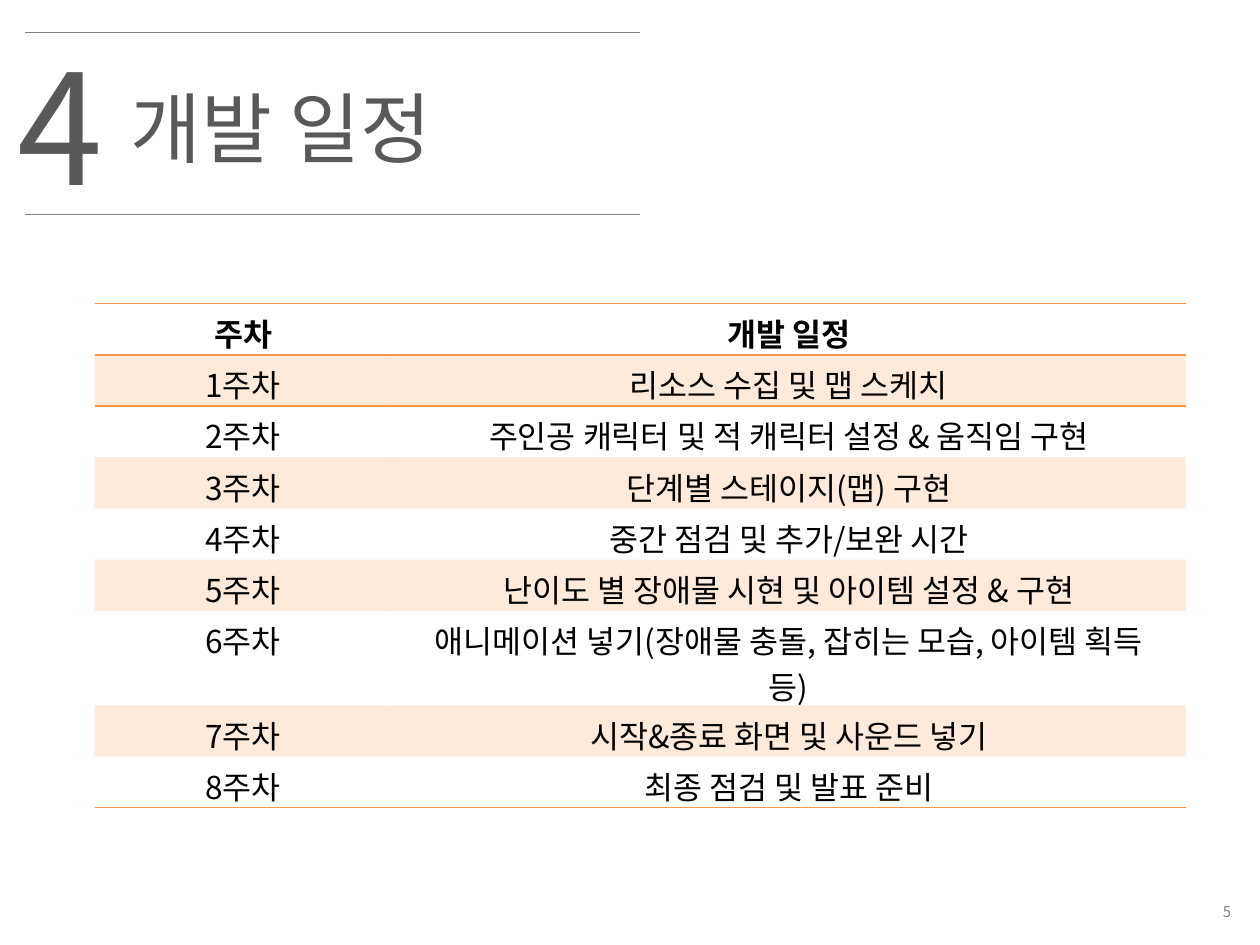
import pptx
import pptx.util
import pptx.dml.color
import pptx.enum.text
import pptx.enum.shapes
from dataclasses import dataclass
from lxml import etree

Inches, Pt = pptx.util.Inches, pptx.util.Pt
ALIGN, ANCHOR = pptx.enum.text.PP_ALIGN, pptx.enum.text.MSO_ANCHOR
A = "{http://schemas.openxmlformats.org/drawingml/2006/main}"
PLAIN_TABLE = "{2D5ABB26-0587-4C30-8999-92F81FD0307C}"


@dataclass(frozen=True)
class Theme:
    font: str = "Noto Sans CJK KR"
    title: str = "595959"
    muted: str = "808080"
    text: str = "000000"
    accent: str = "F79646"
    band_alpha: int = 20
    number_size: float = 88
    title_size: float = 44
    table_size: float = 18
    page_size: float = 8.5


def rgb(value):
    return pptx.dml.color.RGBColor.from_string(value)


class SlideBuilder:
    def __init__(self, slide, theme):
        self.slide, self.theme = slide, theme

    def style(self, p, size, color, align=ALIGN.LEFT, bold=False):
        p.alignment = align
        p.font.size, p.font.bold = Pt(size), bold
        p.font.color.rgb = rgb(color)
        p.font.name = self.theme.font
        # East Asian glyphs take their own typeface setting
        for r in p.runs:
            etree.SubElement(r.font._element, A + "ea", typeface=self.theme.font)

    def text(self, box, text, size, color, align=ALIGN.LEFT, anchor=ANCHOR.TOP):
        tf = self.slide.shapes.add_textbox(*map(Inches, box)).text_frame
        tf.word_wrap, tf.vertical_anchor = True, anchor
        p = tf.paragraphs[0]
        p.text = text
        self.style(p, size, color, align)

    def rule(self, x1, x2, y):
        line = self.slide.shapes.add_connector(
            pptx.enum.shapes.MSO_CONNECTOR.STRAIGHT,
            Inches(x1), Inches(y), Inches(x2), Inches(y))
        line.line.color.rgb, line.line.width = rgb(self.theme.muted), Pt(0.75)
        etree.SubElement(line._element.spPr, A + "effectLst")

    def border(self, cell, sides):
        tcPr = cell._tc.get_or_add_tcPr()
        for i, side in enumerate(sides):
            ln = etree.Element(A + side, w=str(Pt(1)), cmpd="sng")
            fill = etree.SubElement(ln, A + "solidFill")
            etree.SubElement(fill, A + "srgbClr", val=self.theme.accent)
            etree.SubElement(ln, A + "prstDash", val="solid")
            tcPr.insert(i, ln)

    def band(self, cell):
        cell.fill.solid()
        cell.fill.fore_color.rgb = rgb(self.theme.accent)
        color = cell._tc.tcPr.find(f"{A}solidFill/{A}srgbClr")
        etree.SubElement(color, A + "alpha", val=str(self.theme.band_alpha * 1000))

    def table(self, left, top, widths, heights, rows):
        table = self.slide.shapes.add_table(
            len(rows), len(widths), Inches(left), Inches(top),
            Inches(sum(widths)), Inches(sum(heights))).table
        table._tbl.tblPr.find(A + "tableStyleId").text = PLAIN_TABLE
        table.first_row = table.horz_banding = False
        for column, width in zip(table.columns, widths):
            column.width = Inches(width)
        edges = {0: ("lnT", "lnB"), 1: ("lnT",), len(rows) - 1: ("lnB",)}
        for i, row in enumerate(rows):
            table.rows[i].height = Inches(heights[i])
            for j, value in enumerate(row):
                cell = table.cell(i, j)
                cell.text = value
                cell.margin_left = cell.margin_right = Inches(0.2)
                self.style(cell.text_frame.paragraphs[0], self.theme.table_size,
                           self.theme.text, ALIGN.CENTER, bold=i == 0)
                if i % 2:
                    self.band(cell)
                else:
                    cell.fill.background()
                self.border(cell, edges.get(i, ()))


prs = pptx.Presentation()
prs.slide_width, prs.slide_height = Inches(10), Inches(7.5)
theme = Theme()
s = SlideBuilder(prs.slides.add_slide(prs.slide_layouts[6]), theme)

# Heading between two rules
s.text((0.94, 0.59, 4.49, 0.84), "개발 일정", theme.title_size, theme.title)
s.text((0.04, 0.2, 1.18, 1.58), "4", theme.number_size, theme.title)
for y in (0.26, 1.7):
    s.rule(0.2, 5.08, y)

# Weekly schedule
tasks = [
    "리소스 수집 및 맵 스케치",
    "주인공 캐릭터 및 적 캐릭터 설정 & 움직임 구현",
    "단계별 스테이지(맵) 구현",
    "중간 점검 및 추가/보완 시간",
    "난이도 별 장애물 시현 및 아이템 설정 & 구현",
    "애니메이션 넣기(장애물 충돌, 잡히는 모습, 아이템 획득 등)",
    "시작&종료 화면 및 사운드 넣기",
    "최종 점검 및 발표 준비",
]
schedule = [("주차", "개발 일정")]
schedule += [(f"{week}주차", task) for week, task in enumerate(tasks, 1)]
heights = [3.66 / 9] * len(schedule)
heights[6] = 0.75  # the sixth week takes two lines
s.table(0.75, 2.41, (2.36, 6.3), heights, schedule)

# Page number
s.text((7.76, 7.1, 2.11, 0.27), "5", theme.page_size, theme.muted, ALIGN.RIGHT, ANCHOR.MIDDLE)

prs.save("out.pptx")
